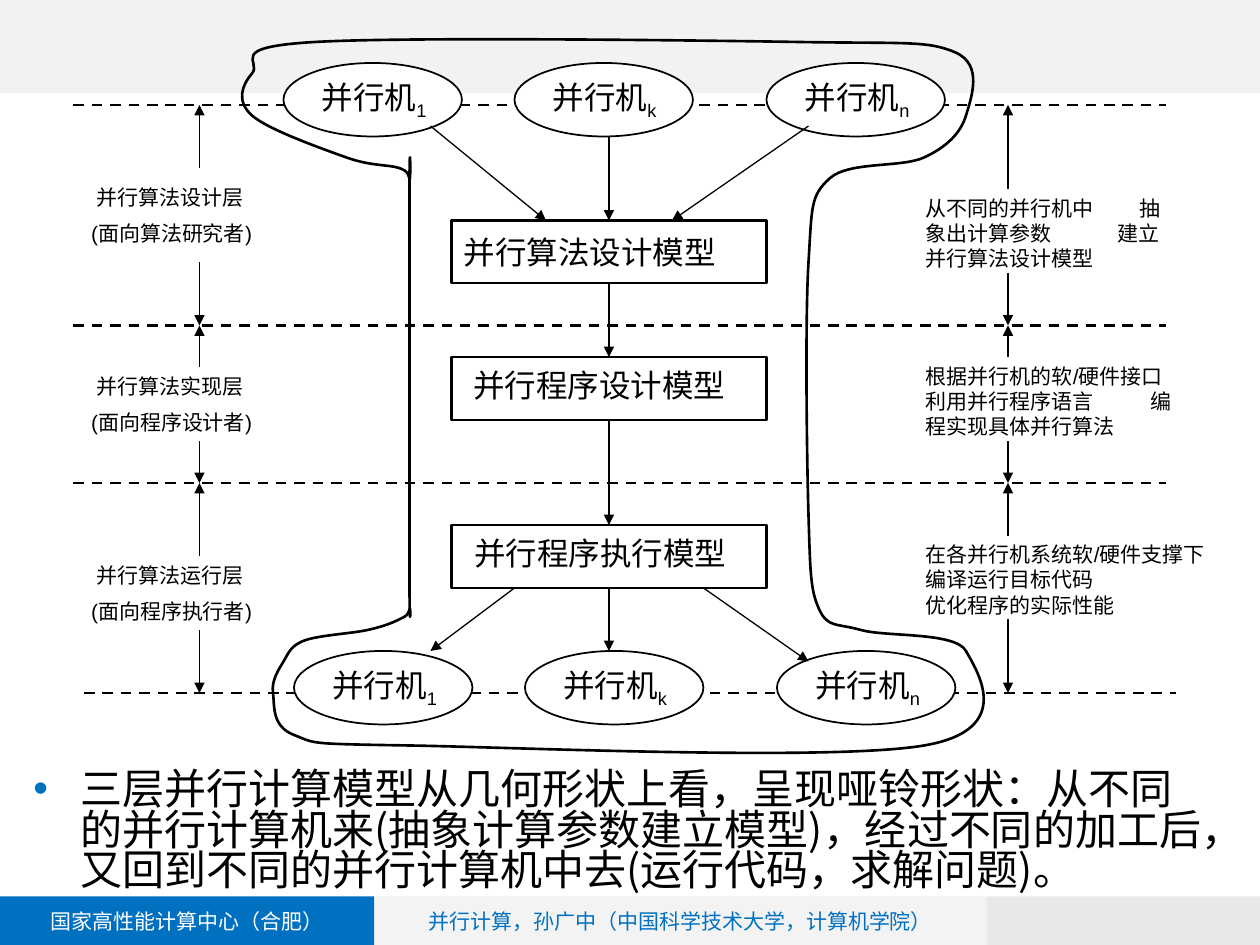
from dataclasses import dataclass
from itertools import pairwise
from typing import NamedTuple

from lxml.etree import SubElement
from pptx import Presentation
from pptx.dml.color import RGBColor
from pptx.enum.dml import MSO_LINE
from pptx.enum.shapes import MSO_CONNECTOR, MSO_SHAPE
from pptx.enum.text import MSO_ANCHOR, PP_ALIGN
from pptx.oxml.ns import qn
from pptx.util import Emu, Pt

PX = 9525  # 96 px to the inch


@dataclass(frozen=True)
class Theme:
    ink: str = "000000"
    white: str = "FFFFFF"
    blue: str = "0070C0"
    band: str = "F2F2F2"
    mid: str = "BFBFBF"
    dark: str = "808080"
    latin: str = "Arial"
    cjk: str = "Noto Sans CJK SC"
    small: int = 12
    label: int = 18
    body: int = 24


class Box(NamedTuple):
    x: int
    y: int
    w: int
    h: int


class Layer(NamedTuple):
    title: str
    role: str
    top: int
    left: tuple[int, int]   # gap in the left span
    right: tuple[int, int]  # gap in the right span
    note: str
    frame: Box
    tabs: tuple[int, ...]


class Bar(NamedTuple):
    box: Box
    fill: str
    alpha: int
    text: str
    color: str


T = Theme()
prs = Presentation()
prs.slide_width, prs.slide_height = Emu(960 * PX), Emu(720 * PX)
slide = prs.slides.add_slide(prs.slide_layouts[6])


def emu(*nums: float) -> list[Emu]:
    return [Emu(round(n * PX)) for n in nums]


def rgb(code: str) -> RGBColor:
    return RGBColor.from_string(code)


def write(frame, *paras: str, size=T.small, font=T.latin, color=T.ink,
          align=PP_ALIGN.LEFT, anchor=MSO_ANCHOR.TOP, wrap=True, sub="",
          gap=0, spacing=None, indents=(), tabs=(), bullet=""):
    """Write paragraphs; a newline inside one is a line break."""
    frame.word_wrap, frame.vertical_anchor = wrap, anchor
    for i, text in enumerate(paras):
        para = frame.add_paragraph() if i else frame.paragraphs[0]
        para.alignment = align
        if i and gap:
            para.space_before = Pt(gap)
        if spacing:
            para.line_spacing = spacing
        for n, line in enumerate(text.split("\n")):
            if n:
                para.add_line_break()
            para.add_run().text = line
        if sub:
            low = para.add_run()
            low.text = sub
            low._r.get_or_add_rPr().set("baseline", "-25000")
        for run in para.runs:
            run.font.size, run.font.name = Pt(size), font
            run.font.color.rgb = rgb(color)
        props = para._p.get_or_add_pPr()
        if indents:
            props.set("marL", str(indents[i] * PX))
        if bullet:
            props.set("indent", str(-indents[i] * PX))
            tint = SubElement(props, qn("a:buClr"))
            SubElement(tint, qn("a:srgbClr"), val=T.blue)
            SubElement(props, qn("a:buFont"), typeface=T.latin)
            SubElement(props, qn("a:buChar"), char=bullet)
        if tabs:
            stops = SubElement(props, qn("a:tabLst"))
            for stop in tabs:
                SubElement(stops, qn("a:tab"), pos=str(stop * PX), algn="l")


def note(box: Box, *paras: str, **style):
    write(slide.shapes.add_textbox(*emu(*box)).text_frame, *paras, **style)


def paint(shape, fill="", line=0.0, alpha=100):
    shape.shadow.inherit = False
    if fill:
        shape.fill.solid()
        shape.fill.fore_color.rgb = rgb(fill)
        if alpha < 100:
            tone = shape.fill._xPr.find(".//" + qn("a:srgbClr"))
            SubElement(tone, qn("a:alpha"), val=str(alpha * 1000))
    else:
        shape.fill.background()
    if line:
        shape.line.color.rgb, shape.line.width = rgb(T.ink), Pt(line)
    else:
        shape.line.fill.background()


def draw(kind, box: Box, **style):
    shape = slide.shapes.add_shape(kind, *emu(*box))
    paint(shape, **style)
    return shape


def link(x1: int, y1: int, x2: int, y2: int, dash=False, start=None, end=None):
    """Draw a dashed rule or an arrow; joins go bottom to top."""
    line = slide.shapes.add_connector(MSO_CONNECTOR.STRAIGHT, *emu(x1, y1, x2, y2))
    line.line.color.rgb, line.line.width = rgb(T.ink), Pt(1.5 if dash else 0.75)
    if dash:
        line.line.dash_style = MSO_LINE.DASH
    else:
        SubElement(line.line._get_or_add_ln(), qn("a:tailEnd"), type="triangle")
    SubElement(line._element.spPr, qn("a:effectLst"))
    if start is not None:
        line.begin_connect(start, 2)
    if end is not None:
        line.end_connect(end, 0)


def outline(knots: list[tuple[int, int]]):
    """Draw a closed smooth curve through the knots."""
    dots = []
    for i in range(len(knots)):
        quad = [knots[(i + k) % len(knots)] for k in (-1, 0, 1, 2)]
        prev, here, then, last = quad
        dots.append(emu(*(b + (c - a) / 6 for a, b, c in zip(prev, here, then))))
        dots.append(emu(*(c - (d - b) / 6 for b, c, d in zip(here, then, last))))
        dots.append(emu(*then))
    pen = slide.shapes.build_freeform(*emu(*knots[0]), scale=1.0)
    pen.add_line_segments(dots, close=True)
    shape = pen.convert_to_shape()
    paint(shape, line=1.5)
    # Turn each three straight steps into one Bezier curve
    steps = list(shape._element.iter(qn("a:lnTo")))
    for first in range(0, len(knots) * 3, 3):
        curve = SubElement(steps[first].getparent(), qn("a:cubicBezTo"))
        steps[first].addprevious(curve)
        for step in steps[first:first + 3]:
            curve.append(step[0])
            step.getparent().remove(step)


# Header band and footer
for bar in (
    Bar(Box(752, 683, 208, 37), T.dark, 18, "", T.ink),
    Bar(Box(0, 0, 960, 71), T.band, 100, "", T.ink),
    Bar(Box(0, 683, 285, 37), T.blue, 100, "国家高性能计算中心（合肥）", T.white),
    Bar(Box(285, 683, 467, 37), T.mid, 18,
        "并行计算，孙广中（中国科学技术大学，计算机学院）", T.blue),
):
    shape = draw(MSO_SHAPE.RECTANGLE, bar.box, fill=bar.fill, alpha=bar.alpha)
    if bar.text:
        write(shape.text_frame, bar.text, font=T.cjk, color=bar.color,
              align=PP_ALIGN.CENTER, anchor=MSO_ANCHOR.MIDDLE)

# Layer borders
LEVELS = (80, 248, 368, 528)
for y in LEVELS:
    shift = 8 if y == LEVELS[-1] else 0
    link(56 + shift, y, 888 + shift, y, dash=True)

# Machines above and below
for y, shift in ((48, 0), (496, 8)):
    for x, sub in ((216, "1"), (392, "k"), (584, "n")):
        oval = draw(MSO_SHAPE.OVAL, Box(x + shift, y, 136, 56), fill=T.white, line=1)
        write(oval.text_frame, "并行机", sub=sub, size=T.label,
              anchor=MSO_ANCHOR.MIDDLE, wrap=False)

# Models
models = [draw(MSO_SHAPE.RECTANGLE, Box(344, y, 240, 48), line=1.25)
          for y in (168, 272, 400)]
write(models[0].text_frame, "并行算法设计模型", size=T.label,
      anchor=MSO_ANCHOR.MIDDLE, wrap=False)
note(Box(351, 274, 233, 38), "并行程序设计模型", size=T.label)
note(Box(352, 402, 224, 38), "并行程序执行模型", size=T.label)

# Flow arrows
link(464, 104, 464, 168, end=models[0])
for upper, lower in pairwise(models):
    link(464, 216, 464, 272, start=upper, end=lower)
link(464, 448, 464, 496, start=models[-1])
for ends in ((328, 96, 416, 168), (616, 96, 512, 168),
             (392, 448, 328, 496), (536, 448, 616, 504)):
    link(*ends)

# Layer names, notes and spans
LAYERS = (
    Layer("并行算法设计层", "(面向算法研究者)", 136, (128, 200), (144, 208),
          "从不同的并行机中\t\t抽象出计算参数\t建立并行算法设计模型",
          Box(696, 144, 208, 67), (146, 163)),
    Layer("并行算法实现层", "(面向程序设计者)", 280, (280, 336), (272, 336),
          "根据并行机的软/硬件接口 利用并行程序语言\t编程实现具体并行算法",
          Box(696, 272, 216, 67), (171,)),
    Layer("并行算法运行层", "(面向程序执行者)", 424, (424, 480), (408, 472),
          "在各并行机系统软/硬件支撑下编译运行目标代码\n优化程序的实际性能",
          Box(696, 408, 232, 67), ()),
)
for layer, (top, base) in zip(LAYERS, pairwise(LEVELS)):
    note(Box(56, layer.top, 192, 58), layer.title, layer.role, gap=6, indents=(8, 4))
    note(layer.frame, layer.note, tabs=layer.tabs)
    for x, (high, low) in ((152, layer.left), (768, layer.right)):
        link(x, high, x, top)
        link(x, low, x, base)

# Summary
note(Box(16, 584, 912, 120),
     "三层并行计算模型从几何形状上看，呈现哑铃形状：从不同的并行计算机来"
     "(抽象计算参数建立模型)，经过不同的加工后，又回到不同的并行计算机中去"
     "(运行代码，求解问题)。",
     size=T.body, font=T.cjk, spacing=0.8, indents=(36,), bullet="•")

# Dumbbell outline
outline([
    (192, 56), (192, 88), (264, 120), (304, 128), (312, 136), (312, 144),
    (312, 440), (312, 464), (304, 472), (280, 480), (232, 488), (216, 504),
    (208, 528), (224, 560), (312, 568), (704, 568), (736, 496), (656, 480),
    (624, 464), (616, 392), (616, 200), (632, 136), (704, 120), (736, 88),
    (728, 40), (608, 32), (240, 32),
])

prs.save("out.pptx")
